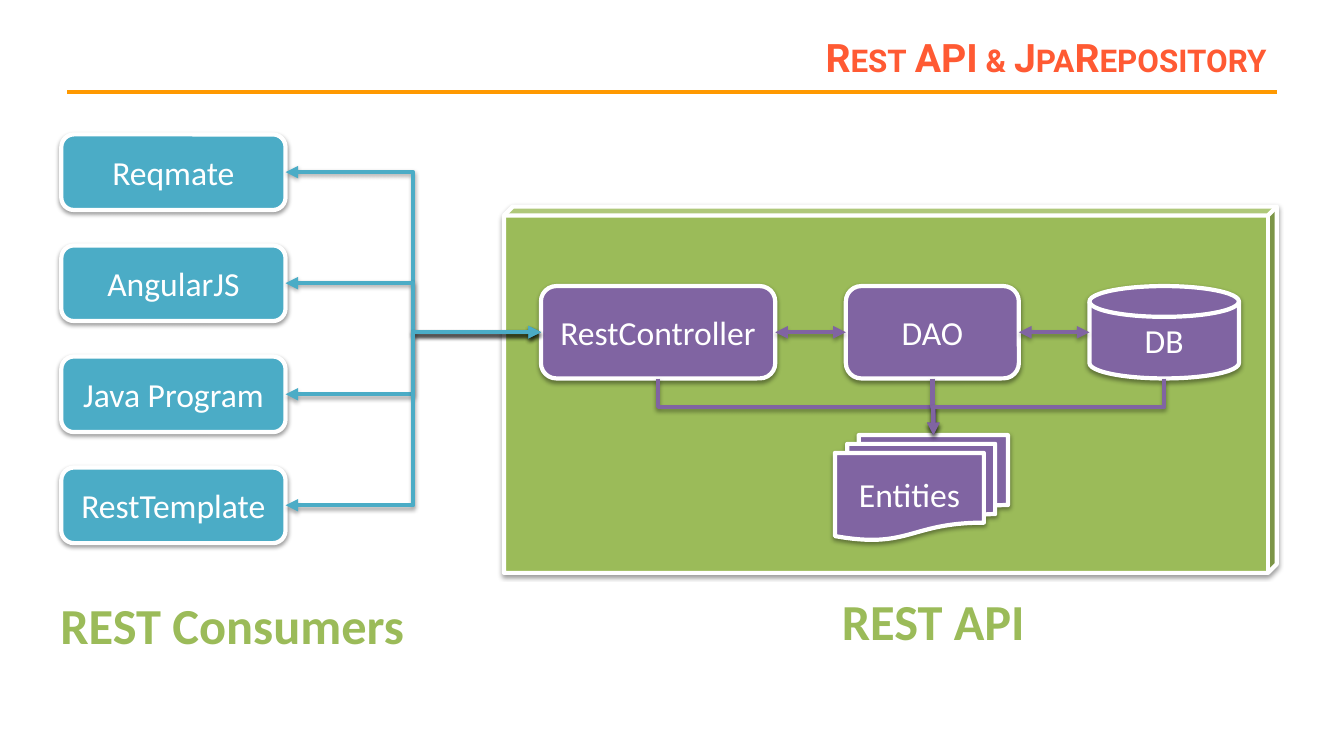
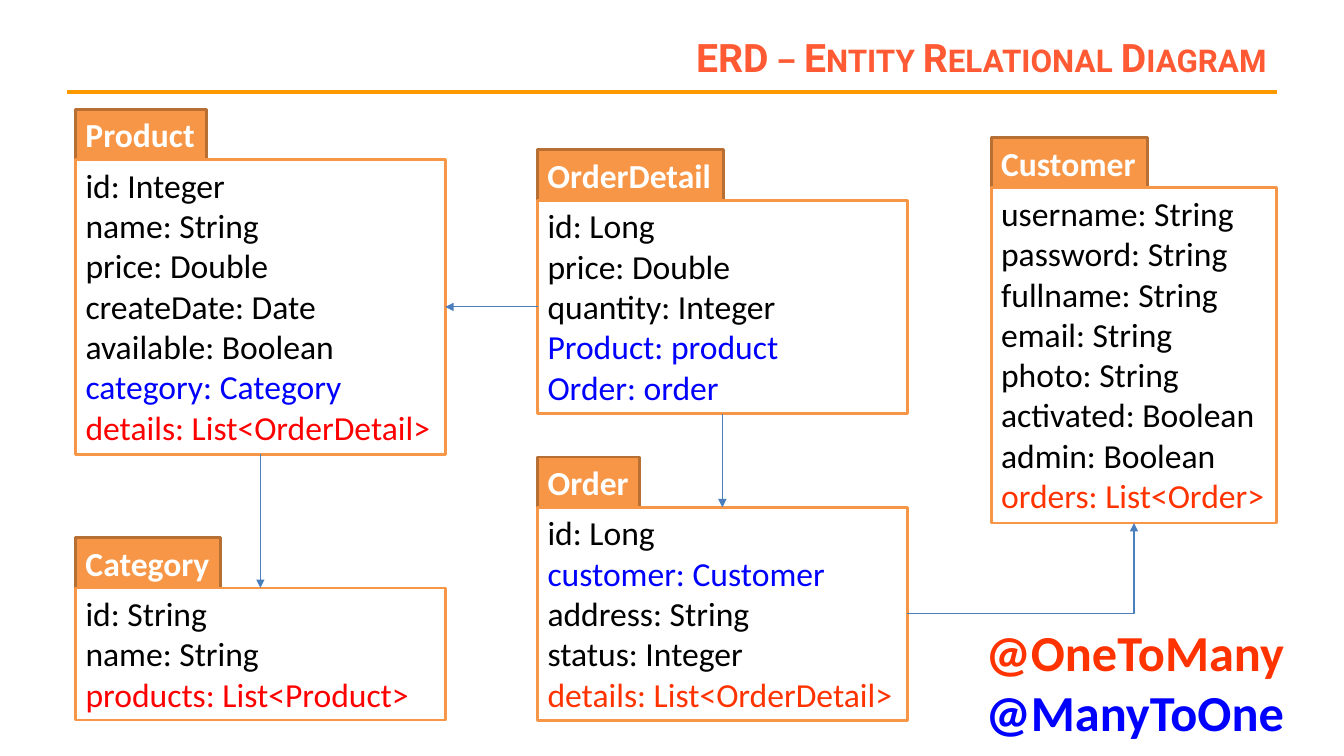
"""Build two slides: a REST API architecture and an entity relational diagram."""
from dataclasses import dataclass

from lxml import etree
from pptx import Presentation, util as u
from pptx.dml.color import RGBColor
from pptx.enum import shapes, text
from pptx.oxml import ns
from pptx.slide import Slide

GRID = u.Inches(1) / 6
COLS, ROWS = 80, 45
WHITE, BLACK, BLUE, RED, VERMILION = "FFFFFF", "000000", "0000FF", "FF0000", "FF3300"
ORANGE, BROWN, GREEN, PURPLE, TEAL = "F79646", "B76F34", "9BBB59", "8064A2", "4BACC6"
LINK, RULE, TITLE = "4B7EBC", "FF9900", "FF5A33"
SHAPE = shapes.MSO_SHAPE
LEFT, CENTER, RIGHT = text.PP_ALIGN.LEFT, text.PP_ALIGN.CENTER, text.PP_ALIGN.RIGHT
TOP, MIDDLE = text.MSO_ANCHOR.TOP, text.MSO_ANCHOR.MIDDLE


@dataclass(frozen=True)
class Box:
    x: float
    y: float
    w: float
    h: float

    @property
    def right(self) -> float:
        return self.x + self.w

    @property
    def bottom(self) -> float:
        return self.y + self.h

    @property
    def cx(self) -> float:
        return self.x + self.w / 2

    @property
    def cy(self) -> float:
        return self.y + self.h / 2

    def emu(self) -> tuple:
        return tuple(cells(v) for v in (self.x, self.y, self.w, self.h))


@dataclass(frozen=True)
class Node:
    label: str
    kind: int
    box: Box
    fill: str


@dataclass(frozen=True)
class Line:
    text: str
    color: str = BLACK


@dataclass(frozen=True)
class Entity:
    name: str
    x: float
    y: float
    w: float
    tag: float
    fields: tuple

    @property
    def box(self) -> Box:
        return Box(self.x, self.y, self.w, 0.6 + 2.42 * len(self.fields))


def cells(n: float) -> int:
    """Turn grid cells into a length."""
    return u.Emu(round(n * GRID))


def rgb(value: str) -> RGBColor:
    """Turn a hex string into a colour."""
    return RGBColor.from_string(value)


def write(tf, lines, size=24, bold=False, align=LEFT, anchor=TOP, face="Calibri") -> None:
    """Fill a text frame, one run per paragraph."""
    tf.vertical_anchor = anchor
    for i, line in enumerate(lines):
        p = tf.add_paragraph() if i else tf.paragraphs[0]
        p.alignment = align
        r = p.add_run()
        r.text = line.text
        r.font.name, r.font.size, r.font.bold = face, u.Pt(size), bold
        r.font.color.rgb = rgb(line.color)


def add_shadow(effects, alpha: int, dist: int) -> None:
    """Put a soft downward shadow into an effect list."""
    outer = etree.SubElement(effects, ns.qn("a:outerShdw"), blurRad="40000", dist=str(dist),
                             dir="5400000", rotWithShape="0")
    color = etree.SubElement(outer, ns.qn("a:srgbClr"), val=BLACK)
    etree.SubElement(color, ns.qn("a:alpha"), val=str(alpha * 1000))


def add_shape(s: Slide, kind: int, box: Box, fill: str, line: str, width: float):
    """Draw a filled and outlined shape without a shadow."""
    sp = s.shapes.add_shape(kind, *box.emu())
    sp.shadow.inherit = False
    sp.fill.solid()
    sp.fill.fore_color.rgb = rgb(fill)
    sp.line.color.rgb = rgb(line)
    sp.line.width = u.Pt(width)
    return sp


def add_node(s: Slide, node: Node):
    """Draw a white-edged, shadowed shape with a centred label."""
    sp = add_shape(s, node.kind, node.box, node.fill, WHITE, 3)
    add_shadow(sp._element.spPr.find(ns.qn("a:effectLst")), 38, 20000)
    if node.label:
        write(sp.text_frame, [Line(node.label, WHITE)], align=CENTER, anchor=MIDDLE)
    return sp


def add_link(s: Slide, start: tuple, end: tuple, color: str, width: float = 3, bent: bool = False,
             ends: tuple = ("tailEnd",), shadow: bool = True):
    """Draw a straight or elbow connector with arrowheads."""
    kind = shapes.MSO_CONNECTOR.ELBOW if bent else shapes.MSO_CONNECTOR.STRAIGHT
    c = s.shapes.add_connector(kind, *map(cells, (*start, *end)))
    c.line.color.rgb = rgb(color)
    c.line.width = u.Pt(width)
    spPr = c._element.spPr
    for name in ends:
        etree.SubElement(spPr.find(ns.qn("a:ln")), ns.qn(f"a:{name}"), type="triangle")
    effects = etree.SubElement(spPr, ns.qn("a:effectLst"))
    if shadow:
        add_shadow(effects, 35, 23000)
    return c


def add_drop(s: Slide, start: tuple, end: tuple, color: str) -> None:
    """Draw an elbow that leaves and arrives vertically."""
    cx, cy = (start[0] + end[0]) / 2, (start[1] + end[1]) / 2
    dx, dy = end[0] - start[0], end[1] - start[1]
    side = 1 if dx > 0 else -1
    half_w, half_h = side * dy / 2, abs(dx) / 2
    c = add_link(s, (cx + half_w, cy - half_h), (cx - half_w, cy + half_h), color, bent=True)
    c._element.spPr.find(ns.qn("a:xfrm")).set("rot", str((270 if side > 0 else 90) * 60000))


def add_caption(s: Slide, box: Box, lines, align=CENTER) -> None:
    """Write large bold lines in an unwrapped text box."""
    tf = s.shapes.add_textbox(*box.emu()).text_frame
    tf.word_wrap = False
    tf.auto_size = text.MSO_AUTO_SIZE.SHAPE_TO_FIT_TEXT
    write(tf, lines, 36, True, align)


def add_entity(s: Slide, e: Entity) -> None:
    """Draw an entity as a name tag over a field list."""
    tag = add_shape(s, SHAPE.RECTANGLE, Box(e.x, e.y - 3, e.tag, 3.03), ORANGE, BROWN, 2)
    tag.text_frame.word_wrap = False
    write(tag.text_frame, [Line(e.name, WHITE)], bold=True)
    body = add_shape(s, SHAPE.RECTANGLE, e.box, WHITE, ORANGE, 2)
    body.text_frame.word_wrap = True
    write(body.text_frame, e.fields)


def add_slide(prs, title: str) -> Slide:
    """Add a slide with the shared title style."""
    s = prs.slides.add_slide(prs.slide_layouts[5])
    tf = s.shapes.title.text_frame
    write(tf, [Line(title, TITLE)], 28, True, RIGHT, MIDDLE, "Roboto")
    tf.paragraphs[0].runs[0].font._element.set("cap", "small")
    return s


def set_layout(prs, s: Slide) -> None:
    """Place the title and move the rule under it onto the layout."""
    layout = s.slide_layout
    title = layout.placeholders[0]
    title.left, title.top, title.width, title.height = Box(14.65, 1.8, 61.35, 3.2).emu()
    rule = add_link(s, (4, 5.5), (76, 5.5), RULE, ends=(), shadow=False)
    layout.shapes._spTree.append(rule._element)


def build_api(s: Slide) -> None:
    """Draw the consumers, the services and the entities they share."""
    cube = add_node(s, Node("", SHAPE.CUBE, Box(30, 12.3, 46, 21.8), GREEN))
    cube.adjustments[0] = 0.024
    rest, dao, db = services = [
        Node(label, kind, Box(x, 17.03, w, 5.5), PURPLE) for label, kind, x, w in (
            ("RestController", SHAPE.ROUNDED_RECTANGLE, 32.2, 13.95),
            ("DAO", SHAPE.ROUNDED_RECTANGLE, 50.35, 10.3),
            ("DB", SHAPE.FLOWCHART_MAGNETIC_DISK, 64.85, 8.9))]
    entities = Node("Entities", SHAPE.FLOWCHART_MULTIDOCUMENT, Box(49.7, 25.9, 10.3, 6.25), PURPLE)
    consumers = [
        Node(label, SHAPE.ROUNDED_RECTANGLE, Box(3.65, 8 + 6.61 * i, 13.35, 4.5), TEAL)
        for i, label in enumerate(("Reqmate", "AngularJS", "Java Program", "RestTemplate"))]
    for node in (*services, entities, *consumers):
        add_node(s, node)
    for node in services:
        add_drop(s, (node.box.cx, node.box.bottom), (55.56, entities.box.y), PURPLE)
    both = ("headEnd", "tailEnd")
    for a, b in ((rest.box, dao.box), (dao.box, db.box)):
        add_link(s, (a.right, a.cy), (b.x, b.cy), PURPLE, ends=both)
    for node in consumers:
        add_link(s, (node.box.right, node.box.cy), (rest.box.x, rest.box.cy), TEAL,
                 bent=True, ends=both)
    add_caption(s, Box(49.45, 34.85, 12.2, 4.25), [Line("REST API", GREEN)])
    add_caption(s, Box(2.88, 35.05, 21.9, 4.25), [Line("REST Consumers", GREEN)])


def build_erd(s: Slide) -> None:
    """Draw the entities, their relations and the colour key."""
    product = Entity("Product", 4.5, 9.5, 22, 7.8, (
        Line("id: Integer"), Line("name: String"), Line("price: Double"),
        Line("createDate: Date"), Line("available: Boolean"),
        Line("category: Category", BLUE), Line("details: List<OrderDetail>", RED)))
    category = Entity("Category", 4.5, 35, 22, 8.65, (
        Line("id: String"), Line("name: String"), Line("products: List<Product>", RED)))
    detail = Entity("OrderDetail", 32, 11.92, 22, 11.05, (
        Line("id: Long"), Line("price: Double"), Line("quantity: Integer"),
        Line("Product: product", BLUE), Line("Order: order", BLUE)))
    order = Entity("Order", 32, 30.2, 22, 6.05, (
        Line("id: Long"), Line("customer: Customer", BLUE), Line("address: String"),
        Line("status: Integer"), Line("details: List<OrderDetail>", VERMILION)))
    customer = Entity("Customer", 59, 11.18, 17, 9.3, (
        Line("username: String"), Line("password: String"), Line("fullname: String"),
        Line("email: String"), Line("photo: String"), Line("activated: Boolean"),
        Line("admin: Boolean"), Line("orders: List<Order>", VERMILION)))
    for e in (product, category, detail, order, customer):
        add_entity(s, e)
    for a, b in ((product.box, category.box), (detail.box, order.box)):
        add_link(s, (a.cx, a.bottom), (b.cx, b.y), LINK, 0.75, shadow=False)
    y = product.box.cy
    add_link(s, (detail.x, y), (product.box.right, y), LINK, 0.75, shadow=False)
    corner = add_link(s, (order.box.right, order.box.cy), (customer.box.cx, customer.box.bottom),
                      LINK, 0.75, bent=True, shadow=False)
    corner._element.spPr.find(ns.qn("a:prstGeom")).set("prst", "bentConnector2")
    add_caption(s, Box(58.08, 36.65, 19.15, 7.85),
                [Line("@OneToMany", VERMILION), Line("@ManyToOne", BLUE)], LEFT)


def main() -> None:
    """Build and save the presentation."""
    prs = Presentation()
    prs.slide_width, prs.slide_height = cells(COLS), cells(ROWS)
    api = add_slide(prs, "Rest API & JpaRepository")
    set_layout(prs, api)
    build_api(api)
    build_erd(add_slide(prs, "ERD – Entity Relational Diagram"))
    prs.save("out.pptx")


if __name__ == "__main__":
    main()
